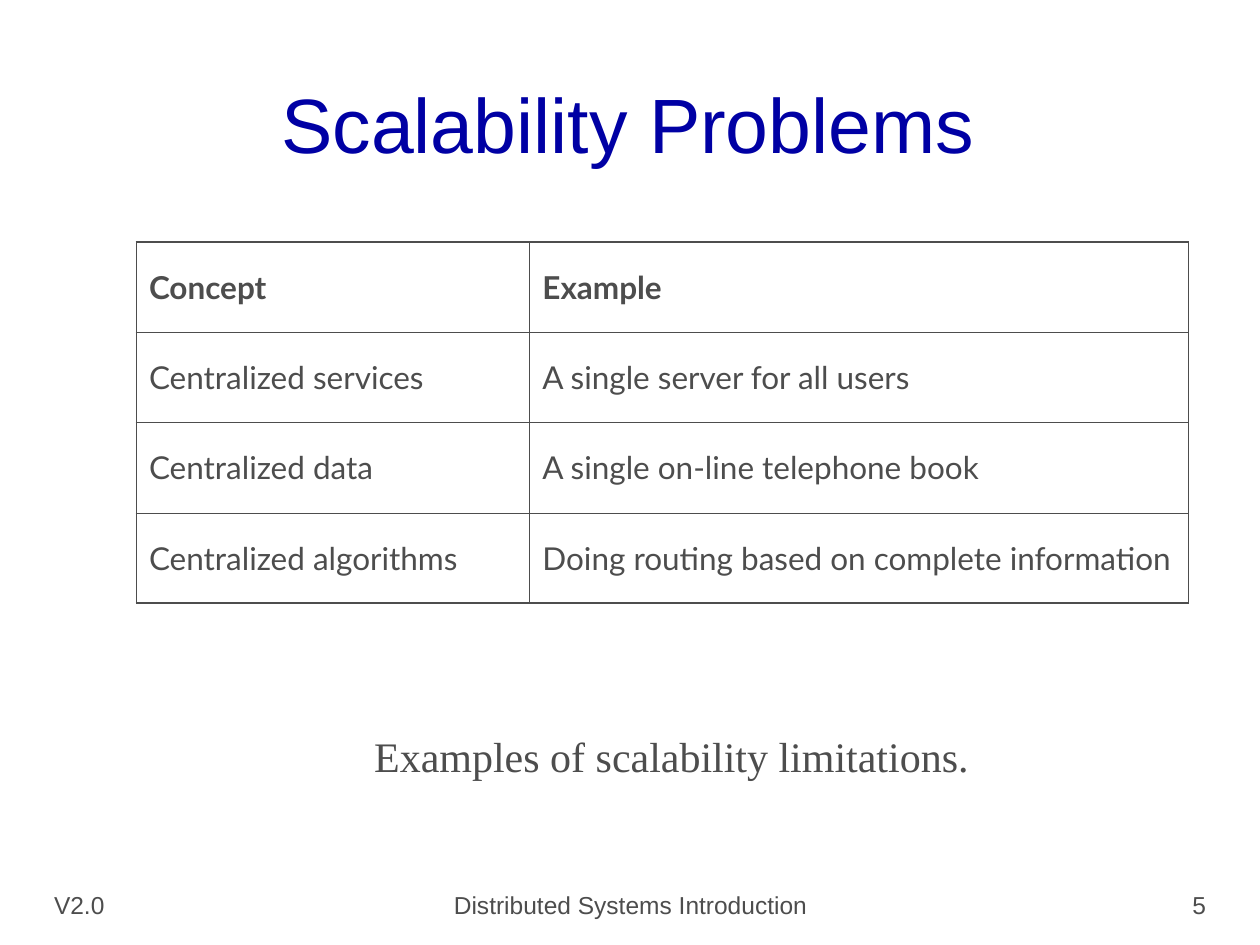
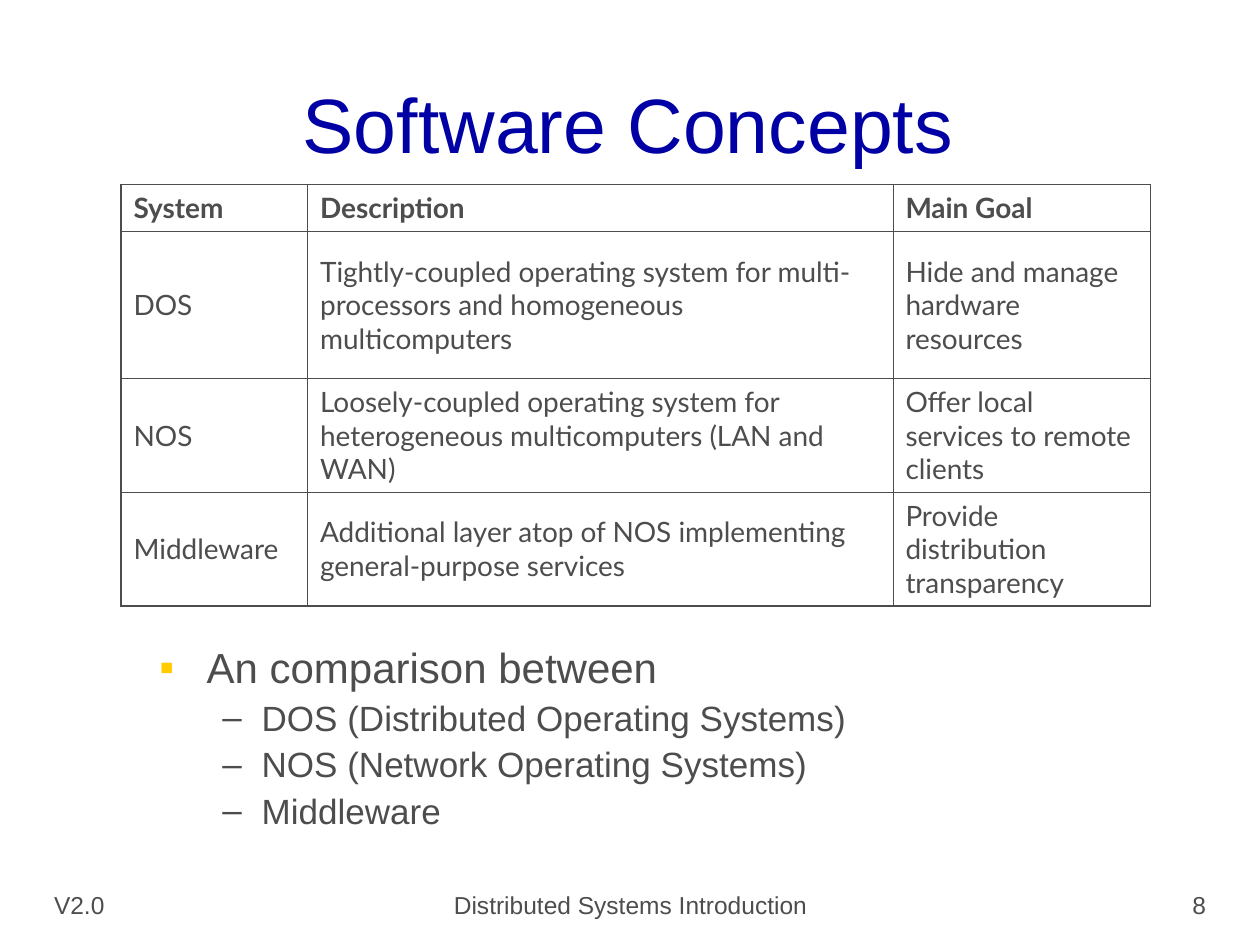
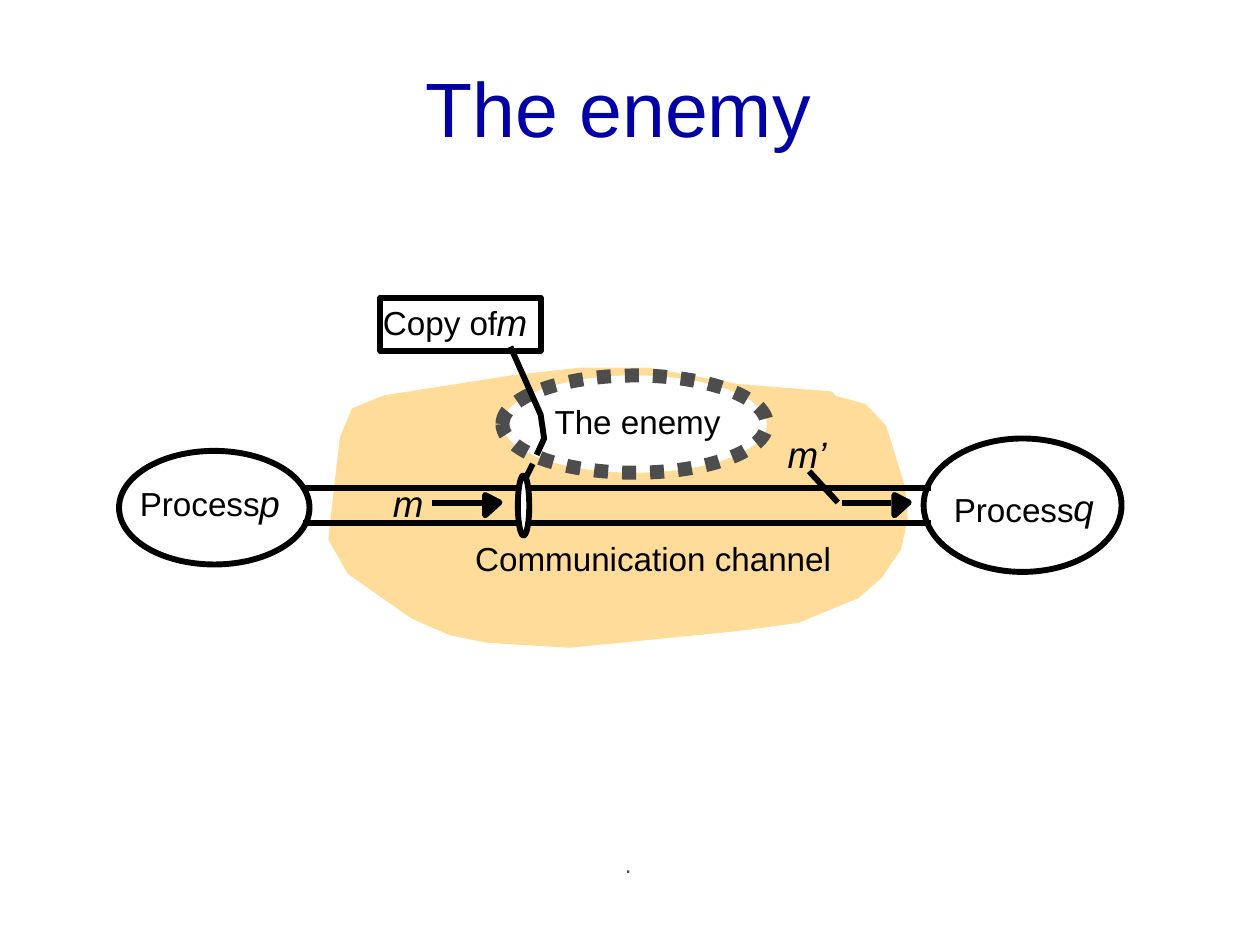
from lxml.etree import SubElement
from pptx import Presentation
from pptx.dml.color import RGBColor
from pptx.enum.dml import MSO_LINE
from pptx.enum.shapes import MSO_CONNECTOR, MSO_SHAPE
from pptx.enum.text import MSO_ANCHOR, MSO_AUTO_SIZE, PP_ALIGN
from pptx.oxml.ns import qn
from pptx.util import Cm, Pt

GREY, BLUE, YELLOW = "4D4D4D", "0000A4", "FFCC00"
BLACK, WHITE, SAND = "000000", "FFFFFF", "FFDC99"
STROKE, THIN, THICK = 3.37, 0.45, 1.08
TITLE_BOX = (0.84, 0.64, 23.65, 3.68)
TITLE_ONLY, TITLE_AND_CONTENT = 5, 1


def color(value):
    """Turn a hex string into a colour."""
    return RGBColor.from_string(value)


def lengths(box):
    """Turn numbers in centimetres into lengths."""
    return [Cm(number) for number in box]


def write_text(frame, text, size=14, font="Arial", fill=GREY, bold=False, italic=False,
               align=PP_ALIGN.LEFT, before=0, spacing=1.0):
    """Write one formatted paragraph into a text frame and return it."""
    paragraph = frame.paragraphs[0] if not frame.text else frame.add_paragraph()
    paragraph.alignment = align
    paragraph.space_before = Pt(before)
    paragraph.line_spacing = spacing
    run = paragraph.add_run()
    run.text = text
    run.font.name, run.font.size = font, Pt(size)
    run.font.bold, run.font.italic = bold, italic
    run.font.color.rgb = color(fill)
    return paragraph


def place(shape, box):
    """Move a placeholder to a box."""
    shape.left, shape.top, shape.width, shape.height = lengths(box)


def add_text(slide, box, text, anchor=MSO_ANCHOR.TOP, **text_format):
    """Add a wrapping text box."""
    frame = slide.shapes.add_textbox(*lengths(box)).text_frame
    frame.word_wrap = True
    frame.vertical_anchor = anchor
    write_text(frame, text, **text_format)


def add_titled_slide(presentation, title, layout=TITLE_ONLY, box=TITLE_BOX):
    """Add a slide with the shared title style."""
    slide = presentation.slides.add_slide(presentation.slide_layouts[layout])
    place(slide.shapes.title, box)
    frame = slide.shapes.title.text_frame
    frame.auto_size = MSO_AUTO_SIZE.NONE
    frame.vertical_anchor = MSO_ANCHOR.MIDDLE
    write_text(frame, title, size=44, fill=BLUE, align=PP_ALIGN.CENTER)
    return slide


def add_footer(slide, number, top=17.35):
    """Add the version, the course name and the slide number."""
    parts = [
        (0.84, 6.35, "V2.0", PP_ALIGN.LEFT),
        (8.69, 8.05, "Distributed Systems Introduction", PP_ALIGN.CENTER),
        (18.21, 6.35, str(number), PP_ALIGN.RIGHT),
    ]
    for left, width, text, align in parts:
        add_text(slide, (left, top, width, 1.32), text, MSO_ANCHOR.BOTTOM, align=align)


def set_border(cell, side, width):
    """Draw one side of a table cell."""
    line = SubElement(cell._tc.get_or_add_tcPr(), qn(f"a:ln{side}"), w=str(Pt(width)))
    fill = SubElement(line, qn("a:solidFill"))
    SubElement(fill, qn("a:srgbClr"), val=GREY)


def add_grid(slide, left, top, widths, heights, rows, size):
    """Add a table with thin inner lines and a thicker frame."""
    box = (left, top, sum(widths), sum(heights))
    table = slide.shapes.add_table(len(rows), len(widths), *lengths(box)).table
    table.first_row = table.horz_banding = False
    for column, width in zip(table.columns, widths):
        column.width = Cm(width)
    last_row, last_column = len(rows) - 1, len(widths) - 1
    for row_index, texts in enumerate(rows):
        table.rows[row_index].height = Cm(heights[row_index])
        for column_index, text in enumerate(texts):
            cell = table.cell(row_index, column_index)
            cell.vertical_anchor = MSO_ANCHOR.MIDDLE
            write_text(cell.text_frame, text, size=size, font="Lato", bold=row_index == 0)
            on_frame = {"L": column_index == 0, "R": column_index == last_column,
                        "T": row_index == 0, "B": row_index == last_row}
            for side, outer in on_frame.items():
                set_border(cell, side, THICK if outer else THIN)
            cell.fill.background()


def add_bullets(slide, box, items):
    """Fill the body placeholder with a two-level list."""
    levels = [dict(size=24, before=6, mark="▪", mark_color=YELLOW, indent=0.95, hang=0.95),
              dict(size=20, before=5, mark="–", mark_color=GREY, indent=2.06, hang=0.79)]
    body = slide.placeholders[1]
    place(body, box)
    body.text_frame.auto_size = MSO_AUTO_SIZE.NONE
    for index, (level, text) in enumerate(items):
        style = levels[level]
        paragraph = write_text(body.text_frame, text, size=style["size"], spacing=0.9,
                               before=style["before"] if index else 0)
        paragraph.level = level
        properties = paragraph._p.get_or_add_pPr()
        properties.set("marL", str(Cm(style["indent"])))
        properties.set("indent", str(-Cm(style["hang"])))
        mark_color = SubElement(properties, qn("a:buClr"))
        SubElement(mark_color, qn("a:srgbClr"), val=style["mark_color"])
        SubElement(properties, qn("a:buFont"), typeface="Arial")
        SubElement(properties, qn("a:buChar"), char=style["mark"])


def style_shape(shape, fill=None, line=BLACK, line_width=STROKE):
    """Set the fill and outline of a shape and drop its shadow."""
    shape.shadow.inherit = False
    if fill:
        shape.fill.solid()
        shape.fill.fore_color.rgb = color(fill)
    else:
        shape.fill.background()
    shape.line.color.rgb = color(line)
    shape.line.width = Pt(line_width)


def add_enemy_diagram(slide, left, top):
    """Draw two processes, their channel and the enemy that taps it."""

    def shift(x, y):
        return Cm(left + x), Cm(top + y)

    def add_preset(kind, x, y, width, height, **style):
        shape = slide.shapes.add_shape(kind, *shift(x, y), Cm(width), Cm(height))
        style_shape(shape, **style)
        return shape

    def add_outline(points, close=True, **style):
        first, *others = [shift(x, y) for x, y in points]
        builder = slide.shapes.build_freeform(*first, scale=1.0)
        builder.add_line_segments(others, close=close)
        style_shape(builder.convert_to_shape(), **style)

    def add_line(start, end):
        connector = slide.shapes.add_connector(MSO_CONNECTOR.STRAIGHT, *shift(*start), *shift(*end))
        connector.line.color.rgb = color(BLACK)
        connector.line.width = Pt(STROKE)
        SubElement(connector._element.spPr, qn("a:effectLst"))

    def add_label(x, y, width, text, italic=False):
        height = 0.89 if italic else 0.81
        frame = slide.shapes.add_textbox(*shift(x, y), Cm(width), Cm(height)).text_frame
        frame.word_wrap = False
        frame.margin_left = frame.margin_right = frame.margin_top = frame.margin_bottom = 0
        write_text(frame, text, size=21 if italic else 19, fill=BLACK, italic=italic)

    def add_message_arrow(start, end, tip):
        add_line((start, 4.14), (end, 4.14))
        add_outline([(tip, 3.98), (tip + 0.29, 4.13), (tip, 4.39)], fill=BLACK)

    cloud = [
        (14.34, 1.95), (12.46, 1.8), (10.66, 1.47), (9.31, 1.47), (7.96, 1.62),
        (5.35, 2.03), (4.74, 2.28), (4.51, 2.84), (4.36, 4.13), (4.28, 4.87),
        (4.66, 5.53), (5.93, 6.42), (6.69, 6.75), (7.43, 6.9), (9.08, 7),
        (12.41, 6.67), (13.68, 6.5), (14.87, 6.01), (15.33, 5.61), (15.71, 5.05),
        (15.84, 4.46), (15.79, 3.83), (15.41, 2.61), (15.02, 2.2), (14.41, 2.03),
    ]
    add_outline(cloud, fill=SAND, line=SAND)
    enemy = add_preset(MSO_SHAPE.OVAL, 7.73, 1.57, 5.33, 1.96,
                       fill=WHITE, line=GREY, line_width=8)
    enemy.line.dash_style = MSO_LINE.ROUND_DOT
    add_preset(MSO_SHAPE.OVAL, 16.22, 2.84, 3.99, 2.69, fill=WHITE)
    add_preset(MSO_SHAPE.OVAL, 0, 3.09, 3.84, 2.29, fill=WHITE)
    for channel_side in (3.83, 4.55):
        add_line((3.7, channel_side), (16.37, channel_side))
    add_message_arrow(6.31, 7.35, 7.38)
    add_message_arrow(14.57, 15.56, 15.63)

    add_label(7.18, 4.85, 7.19, "Communication channel")
    add_label(5.32, 0.1, 2.49, "Copy of")
    add_label(7.61, 0.05, 0.61, "m", italic=True)
    add_label(0.42, 3.75, 2.62, "Process")
    add_label(2.83, 3.7, 0.41, "p", italic=True)
    add_label(16.83, 3.86, 2.62, "Process")
    add_label(19.24, 3.78, 0.41, "q", italic=True)
    add_label(5.52, 3.7, 0.61, "m", italic=True)
    add_label(8.78, 2.1, 3.35, "The enemy")
    add_label(13.48, 2.71, 0.79, "m’", italic=True)

    add_preset(MSO_SHAPE.RECTANGLE, 5.27, 0, 3.23, 1.07)
    add_line((14.49, 4.13), (13.91, 3.5))
    add_preset(MSO_SHAPE.OVAL, 8.04, 3.58, 0.23, 1.22, fill=WHITE)
    add_line((8.19, 3.65), (8.34, 3.35))
    add_outline([(7.89, 0.99), (8.5, 2.36), (8.57, 2.84), (8.42, 3.17)], close=False)


def build_scalability_slide(presentation):
    """Build the slide on limits of scalability."""
    slide = add_titled_slide(presentation, "Scalability Problems")
    add_footer(slide, 5)
    add_text(slide, (3.38, 14.6, 20.32, 1.27), "Examples of scalability limitations.",
             size=24, font="Times New Roman", align=PP_ALIGN.CENTER)
    rows = [
        ("Concept", "Example"),
        ("Centralized services", "A single server for all users"),
        ("Centralized data", "A single on-line telephone book"),
        ("Centralized algorithms", "Doing routing based on complete information"),
    ]
    add_grid(slide, 2.75, 4.88, [7.93, 13.28], [1.82] * len(rows), rows, size=18)


def build_software_slide(presentation):
    """Build the slide that compares kinds of system software."""
    slide = add_titled_slide(presentation, "Software Concepts", TITLE_AND_CONTENT)
    add_footer(slide, 8)
    add_bullets(slide, (2.96, 12.91, 22.44, 5.29), [
        (0, "An comparison between"),
        (1, "DOS (Distributed Operating Systems)"),
        (1, "NOS (Network Operating Systems)"),
        (1, "Middleware"),
    ])
    rows = [
        ("System", "Description", "Main Goal"),
        ("DOS", "Tightly-coupled operating system for multi-processors and homogeneous "
                "multicomputers", "Hide and manage hardware resources"),
        ("NOS", "Loosely-coupled operating system for heterogeneous multicomputers "
                "(LAN and WAN)", "Offer local services to remote clients"),
        ("Middleware", "Additional layer atop of NOS implementing general-purpose services",
         "Provide distribution transparency"),
    ]
    add_grid(slide, 2.44, 3.72, [3.76, 11.8, 5.19], [0.95, 2.96, 2.29, 2.29], rows, size=16)


def build_enemy_slide(presentation):
    """Build the slide on the enemy in the channel."""
    slide = add_titled_slide(presentation, "The enemy", box=(0.64, 0.32, 23.65, 3.68))
    add_text(slide, (8.64, 16.51, 8.05, 1.32), ".", MSO_ANCHOR.BOTTOM, align=PP_ALIGN.CENTER)
    add_enemy_diagram(slide, 2.4, 6)


def main():
    """Build and save the presentation."""
    presentation = Presentation()
    presentation.slide_width, presentation.slide_height = Cm(25.4), Cm(19.05)
    build_scalability_slide(presentation)
    build_software_slide(presentation)
    build_enemy_slide(presentation)
    presentation.save("out.pptx")


if __name__ == "__main__":
    main()
